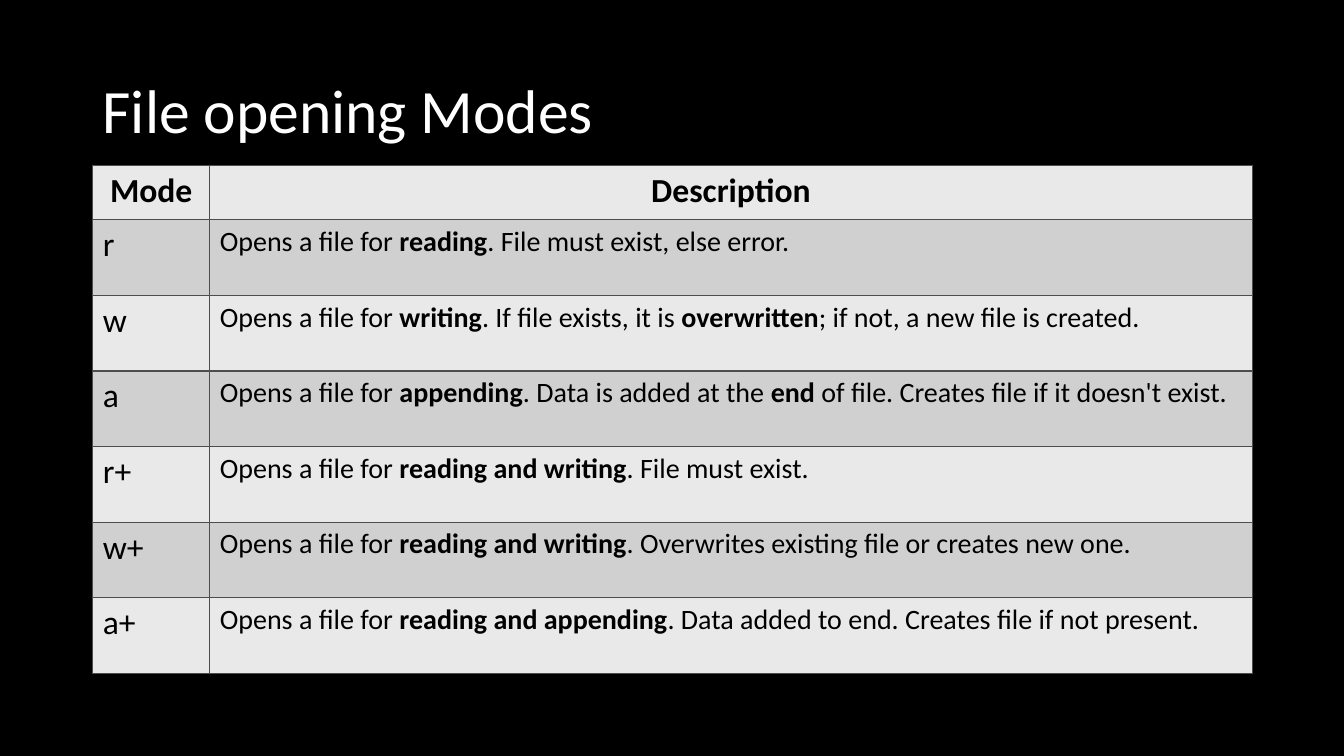
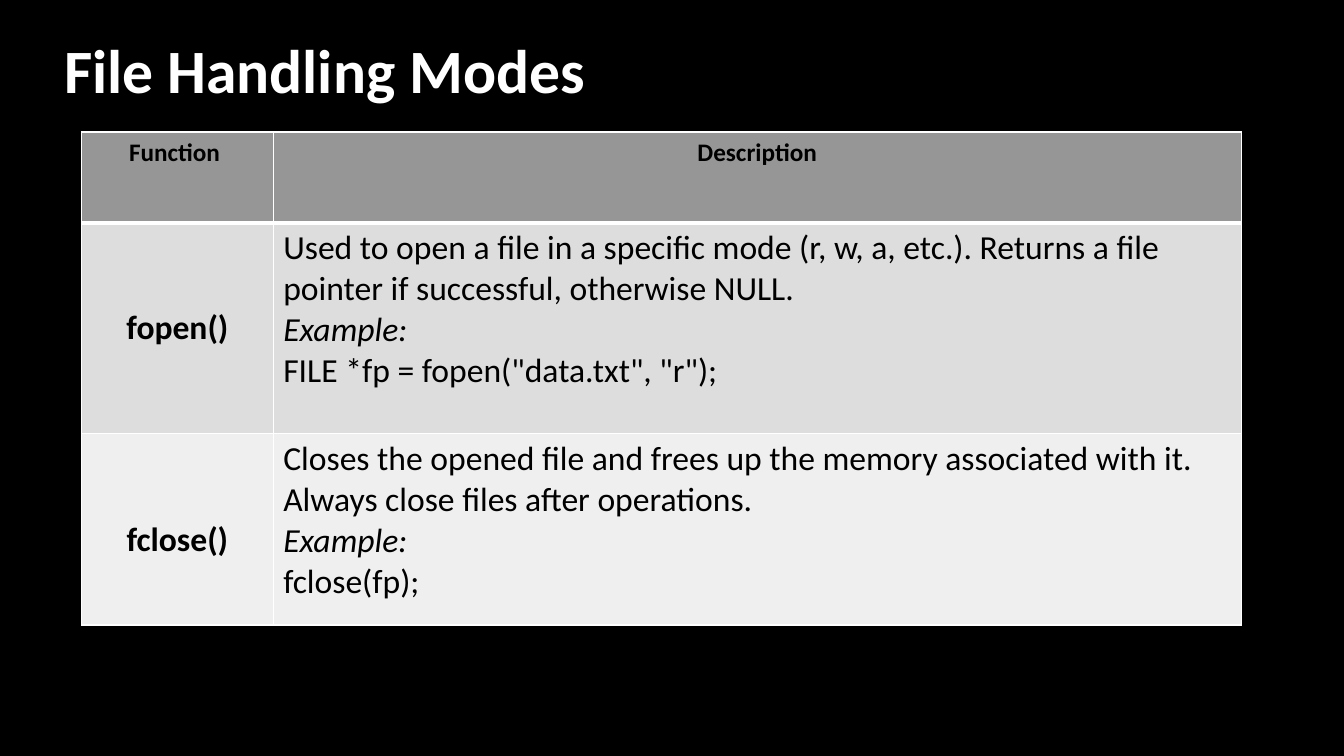
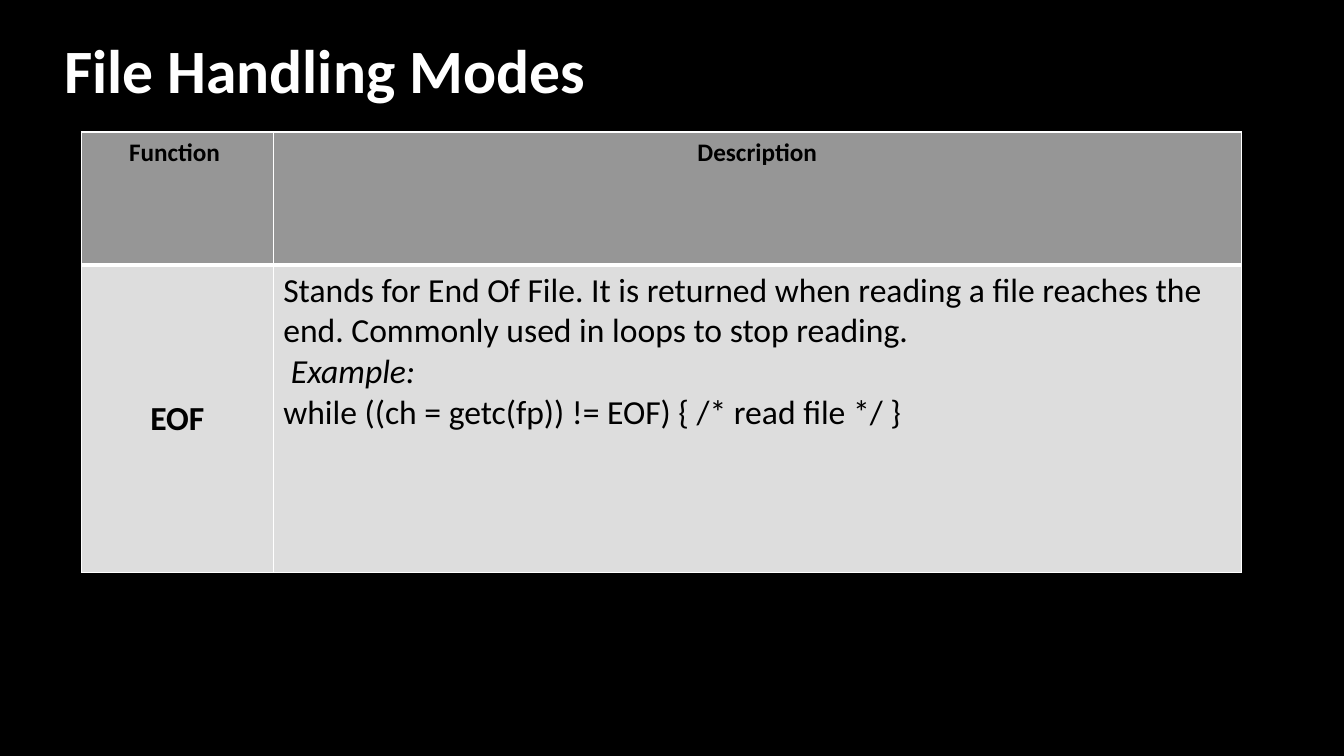
from dataclasses import dataclass

from lxml import etree
from pptx import Presentation
from pptx.dml.color import RGBColor
from pptx.enum.text import MSO_ANCHOR, PP_ALIGN
from pptx.oxml.ns import qn
from pptx.slide import Slide
from pptx.table import _Cell
from pptx.text.text import TextFrame
from pptx.util import Inches, Pt

# Shared look
FONT = "Calibri"
BLACK = RGBColor(0x00, 0x00, 0x00)
WHITE = RGBColor(0xFF, 0xFF, 0xFF)
SLATE = RGBColor(0x4D, 0x4D, 0x4D)
PALE = RGBColor(0xE9, 0xE9, 0xE9)
SILVER = RGBColor(0xD0, 0xD0, 0xD0)
GRAY = RGBColor(0x96, 0x96, 0x96)
LIGHT = RGBColor(0xDD, 0xDD, 0xDD)
FAINT = RGBColor(0xEF, 0xEF, 0xEF)
CENTER, LEFT = PP_ALIGN.CENTER, PP_ALIGN.LEFT
MIDDLE, TOP = MSO_ANCHOR.MIDDLE, MSO_ANCHOR.TOP
BOLD, ITALIC = "**", "~~"


@dataclass(frozen=True)
class Box:
    left: float
    top: float
    width: float
    height: float


@dataclass(frozen=True)
class Style:
    """Look of a table; sizes are points."""
    left: float
    top: float
    cols: tuple[float, float]
    head: RGBColor
    bands: tuple[RGBColor, RGBColor]
    line: RGBColor
    rule: float  # width of the line below the header
    head_size: int
    key_size: int
    body_size: int
    key_bold: bool
    key_align: PP_ALIGN


@dataclass(frozen=True)
class Row:
    height: float
    key: str
    lines: tuple[str, ...]
    anchor: MSO_ANCHOR = TOP
    pad: float = 0.05  # space above the key


@dataclass(frozen=True)
class Page:
    title: str
    box: Box
    bold: bool
    style: Style
    rows: tuple[Row, ...]


MODES = Style(0.92, 1.64, (1.16, 10.34), PALE, (SILVER, PALE), SLATE, 1,
              24, 24, 20, False, LEFT)
CALLS = Style(0.81, 1.31, (1.9, 9.6), GRAY, (LIGHT, FAINT), WHITE, 3,
              18, 24, 24, True, CENTER)
HIGH = Box(0.54, 0.29, 6.37, 0.88)

# Content: ** marks bold words, ~~ marks italic lines
USES = (
    ("r", "**reading**. File must exist, else error."),
    ("w", "**writing**. If file exists, it is **overwritten**; "
          "if not, a new file is created."),
    ("a", "**appending**. Data is added at the **end** of file. "
          "Creates file if it doesn't exist."),
    ("r+", "**reading and writing**. File must exist."),
    ("w+", "**reading and writing**. Overwrites existing file or creates new one."),
    ("a+", "**reading and appending**. Data added to end. "
           "Creates file if not present."),
)

PAGES = (
    Page("File opening Modes", Box(0.92, 0.4, 11.5, 1.45), False, MODES, (
        Row(0.54, "Mode", ("Description",)),
        *(Row(0.75, key, ("Opens a file for " + use,)) for key, use in USES),
    )),
    Page("File Handling Modes", HIGH, True, CALLS, (
        Row(0.9, "Function ", ("Description",)),
        Row(2.09, "fopen()", (
            "Used to open a file in a specific mode (r, w, a, etc.). "
            "Returns a file pointer if successful, otherwise NULL.",
            "~~Example:",
            'FILE *fp = fopen("data.txt", "r");'), MIDDLE),
        Row(1.9, "fclose()", (
            "Closes the opened file and frees up the memory associated with it. "
            "Always close files after operations.",
            "~~Example:",
            "fclose(fp);"), pad=0.86),
    )),
    Page("File Handling Modes", HIGH, True, CALLS, (
        Row(1.32, "Function ", ("Description",)),
        Row(3.05, "EOF", (
            "Stands for End Of File. It is returned when reading a file "
            "reaches the end. Commonly used in loops to stop reading.",
            "~~ Example:",
            "while ((ch = getc(fp)) != EOF) { /* read file */ }"), MIDDLE),
    )),
)


def write(frame: TextFrame, lines: tuple[str, ...], size: int,
          color: RGBColor = BLACK, bold: bool = False,
          align: PP_ALIGN = LEFT) -> None:
    """Write one paragraph per line, with its marked words."""
    for num, line in enumerate(lines):
        para = frame.paragraphs[0] if num == 0 else frame.add_paragraph()
        para.alignment = align
        parts = line.removeprefix(ITALIC).split(BOLD)
        for turn, part in enumerate(parts):
            run = para.add_run()
            run.text = part
            font = run.font
            font.name, font.size = FONT, Pt(size)
            font.color.rgb = color
            font.bold = bold or turn % 2 == 1
            font.italic = line.startswith(ITALIC)


def edge(cell: _Cell, color: RGBColor, top: float, base: float) -> None:
    """Draw the four borders of a cell; call before the fill is set."""
    props = cell._tc.get_or_add_tcPr()
    for side, width in (("L", 1), ("R", 1), ("T", top), ("B", base)):
        line = etree.SubElement(props, qn(f"a:ln{side}"), w=str(Pt(width)))
        fill = etree.SubElement(line, qn("a:solidFill"))
        etree.SubElement(fill, qn("a:srgbClr"), val=str(color))


def add_title(slide: Slide, page: Page) -> None:
    box = page.box
    frame = slide.shapes.add_textbox(
        Inches(box.left), Inches(box.top),
        Inches(box.width), Inches(box.height)).text_frame
    frame.word_wrap = True
    frame.vertical_anchor = MIDDLE
    write(frame, (page.title,), 44, WHITE, page.bold)
    frame.paragraphs[0].line_spacing = 0.9


def add_grid(slide: Slide, style: Style, rows: tuple[Row, ...]) -> None:
    table = slide.shapes.add_table(
        len(rows), len(style.cols), Inches(style.left), Inches(style.top),
        Inches(sum(style.cols)), Inches(sum(row.height for row in rows))).table
    table.first_row = table.horz_banding = False
    for col, width in zip(table.columns, style.cols):
        col.width = Inches(width)

    for num, row in enumerate(rows):
        table.rows[num].height = Inches(row.height)
        head = num == 0
        shade = style.head if head else style.bands[(num - 1) % 2]
        key, body = table.cell(num, 0), table.cell(num, 1)
        for cell in (key, body):
            edge(cell, style.line, style.rule if num == 1 else 1,
                 style.rule if head else 1)
            cell.fill.solid()
            cell.fill.fore_color.rgb = shade
        key.vertical_anchor = row.anchor
        key.margin_top = Inches(row.pad)
        write(key.text_frame, (row.key,),
              style.head_size if head else style.key_size,
              bold=head or style.key_bold,
              align=CENTER if head else style.key_align)
        write(body.text_frame, row.lines,
              style.head_size if head else style.body_size,
              bold=head, align=CENTER if head else LEFT)


def main() -> None:
    deck = Presentation()
    deck.slide_width, deck.slide_height = Inches(13.33), Inches(7.5)
    blank = deck.slide_layouts[6]
    for page in PAGES:
        slide = deck.slides.add_slide(blank)
        back = slide.background.fill
        back.solid()
        back.fore_color.rgb = BLACK
        add_title(slide, page)
        add_grid(slide, page.style, page.rows)
    deck.save("out.pptx")


if __name__ == "__main__":
    main()
